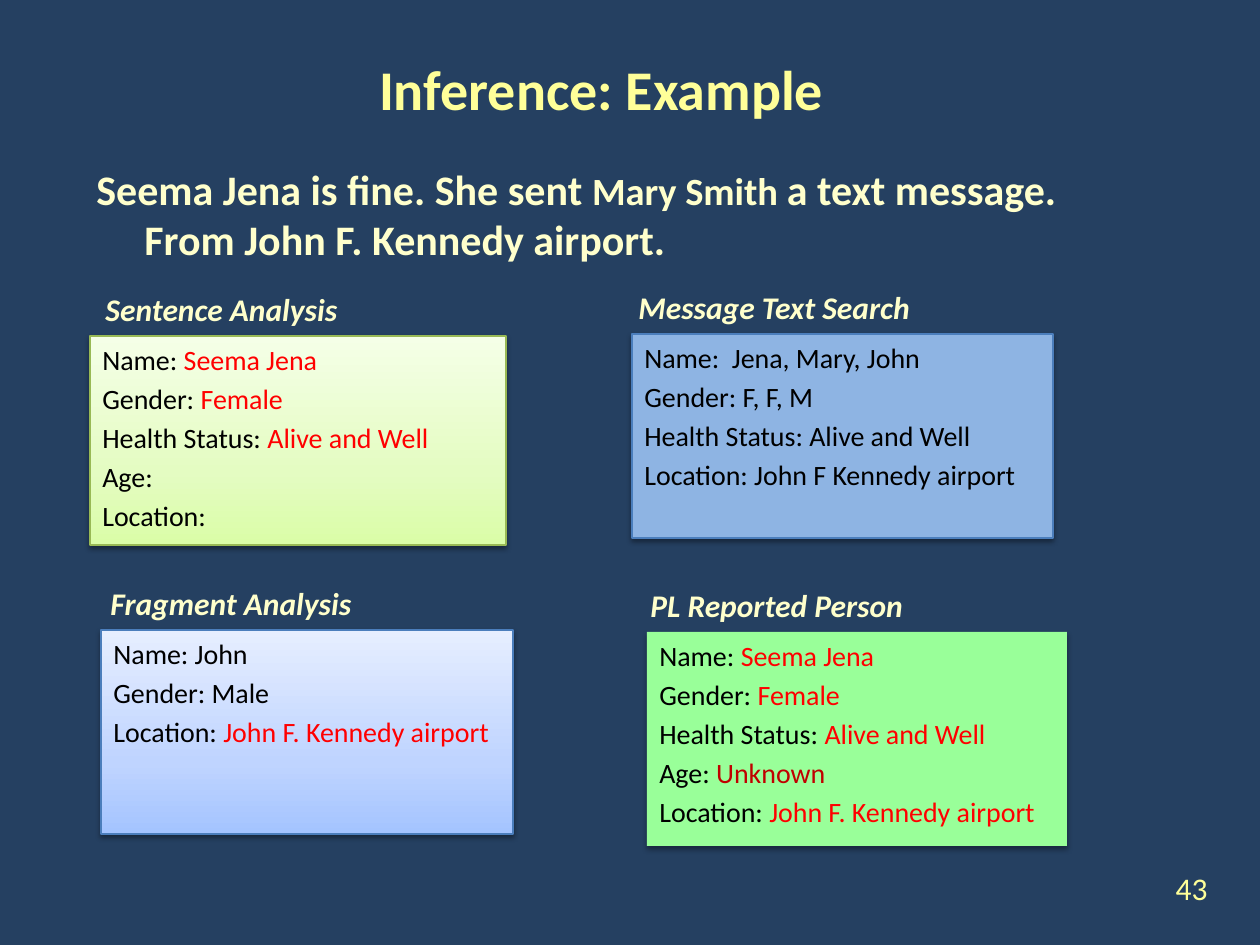
"""Build the inference example slide with four analysis cards."""
from dataclasses import dataclass
from typing import Optional

from lxml import etree
from pptx import Presentation
from pptx import util as u
from pptx.dml.color import RGBColor
from pptx.enum import shapes, text
from pptx.oxml.ns import qn

PIXEL = u.Inches(1) // 126


@dataclass(frozen=True)
class Theme:
    font: str = "Calibri"
    background: str = "254061"
    title: str = "FFFF99"
    body: str = "FFFFCC"
    label: str = "000000"
    found: str = "FF0000"
    unknown: str = "C00000"
    blue_edge: str = "4B7EBC"
    green_edge: str = "98B955"
    title_size: int = 32
    body_size: int = 24
    name_size: int = 22
    heading_size: int = 18
    card_size: int = 16


THEME = Theme()


@dataclass(frozen=True)
class Box:
    left: int
    top: int
    width: int
    height: int

    def emu(self) -> tuple:
        return tuple(side * PIXEL for side in (self.left, self.top, self.width, self.height))


@dataclass(frozen=True)
class Span:
    text: str
    color: str = THEME.label
    size: int = THEME.card_size
    bold: bool = False
    italic: bool = False


@dataclass(frozen=True)
class Card:
    heading: str
    heading_box: Box
    box: Box
    fills: tuple
    edge: Optional[str]
    lines: tuple
    shadow_opacity: int = 38


def field(label: str, value: str = "", color: str = THEME.found) -> tuple:
    """Return a label span followed by its highlighted value."""
    return (Span(label), Span(value, color)) if value else (Span(label),)


def write_lines(frame, lines: tuple, align=text.PP_ALIGN.LEFT, hanging: bool = False) -> None:
    """Write one paragraph per line of spans."""
    frame.word_wrap = True
    frame.vertical_anchor = text.MSO_ANCHOR.TOP
    for index, spans in enumerate(lines):
        paragraph = frame.add_paragraph() if index else frame.paragraphs[0]
        paragraph.alignment = align
        if hanging:
            paragraph.space_before = u.Pt(spans[0].size * 0.2)
            properties = paragraph._p.get_or_add_pPr()
            properties.set("marL", str(48 * PIXEL))
            properties.set("indent", str(-48 * PIXEL))
        for span in spans:
            run = paragraph.add_run()
            run.text = span.text
            run.font.name = THEME.font
            run.font.size = u.Pt(span.size)
            run.font.bold = span.bold
            run.font.italic = span.italic
            run.font.color.rgb = RGBColor.from_string(span.color)


def add_text(slide, box: Box, spans: tuple, align=text.PP_ALIGN.LEFT, hanging: bool = False):
    """Add a text box with one paragraph and return its frame."""
    frame = slide.shapes.add_textbox(*box.emu()).text_frame
    write_lines(frame, (spans,), align, hanging)
    return frame


def add_color(parent, color: str):
    """Append an RGB colour element."""
    return etree.SubElement(parent, qn("a:srgbClr"), val=color)


def paint(shape, fills: tuple) -> None:
    """Fill a shape with one colour or an upward gradient."""
    if len(fills) == 1:
        shape.fill.solid()
        shape.fill.fore_color.rgb = RGBColor.from_string(fills[0])
        return
    shape.fill.gradient()
    shape.fill.gradient_angle = 90
    stops = shape._element.spPr.find(".//" + qn("a:gsLst"))
    for stop in list(stops):
        stops.remove(stop)
    for position, color in zip((0, 35, 100), fills):
        add_color(etree.SubElement(stops, qn("a:gs"), pos=str(position * 1000)), color)


def add_shadow(shape, opacity: int) -> None:
    """Give a shape a soft shadow below it."""
    shape.shadow.inherit = False
    effects = shape._element.spPr.find(qn("a:effectLst"))
    shadow = etree.SubElement(
        effects, qn("a:outerShdw"), blurRad=str(u.Pt(3.1)), dist=str(u.Pt(1.6)),
        dir="5400000", rotWithShape="0")
    etree.SubElement(add_color(shadow, THEME.label), qn("a:alpha"), val=str(opacity * 1000))


def add_card(slide, card: Card) -> None:
    """Draw a card and its heading."""
    shape = slide.shapes.add_shape(shapes.MSO_SHAPE.RECTANGLE, *card.box.emu())
    paint(shape, card.fills)
    if card.edge:
        shape.line.color.rgb = RGBColor.from_string(card.edge)
        shape.line.width = u.Pt(0.75)
    else:
        shape.line.fill.background()
    add_shadow(shape, card.shadow_opacity)
    write_lines(shape.text_frame, card.lines, hanging=True)
    heading = Span(card.heading, THEME.body, THEME.heading_size, True, True)
    add_text(slide, card.heading_box, (heading,))


PERSON = (field("Name: ", "Seema Jena"), field("Gender: ", "Female"),
          field("Health Status: ", "Alive and Well"))
AIRPORT = field("Location: ", "John F. Kennedy airport")

CARDS = (
    Card("Sentence Analysis", Box(93, 284, 260, 50), Box(90, 336, 416, 209),
         ("DAFDA7", "E4FCC2", "F5FFE7"), THEME.green_edge,
         PERSON + (field("Age:"), field("Location:"))),
    Card("Fragment Analysis", Box(98, 578, 306, 50), Box(101, 630, 412, 204),
         ("A4C4FF", "BFD4FF", "E6EEFF"), THEME.blue_edge,
         (field("Name: John"), field("Gender: Male"), AIRPORT)),
    Card("Message Text Search", Box(626, 282, 300, 50), Box(632, 334, 421, 204),
         ("8EB4E3",), THEME.blue_edge,
         (field("Name:  Jena, Mary, John"), field("Gender: F, F, M"),
          field("Health Status: Alive and Well"), field("Location: John F Kennedy airport"))),
    Card("PL Reported Person", Box(638, 580, 324, 50), Box(647, 632, 420, 214),
         ("99FF99",), None,
         PERSON + (field("Age: ", "Unknown", THEME.unknown), AIRPORT), 35),
)


def main() -> None:
    """Build and save the slide."""
    presentation = Presentation()
    presentation.slide_width, presentation.slide_height = u.Inches(10), u.Inches(7.5)
    slide = presentation.slides.add_slide(presentation.slide_layouts[6])
    slide.background.fill.solid()
    slide.background.fill.fore_color.rgb = RGBColor.from_string(THEME.background)

    title = Span("Inference: Example", THEME.title, THEME.title_size, True)
    frame = add_text(slide, Box(108, 49, 987, 78), (title,), text.PP_ALIGN.CENTER)
    frame.vertical_anchor = text.MSO_ANCHOR.MIDDLE
    message = (
        Span("Seema Jena is fine. She sent ", THEME.body, THEME.body_size, True),
        Span("Mary Smith ", THEME.body, THEME.name_size, True),
        Span("a text message. From John F. Kennedy airport.", THEME.body, THEME.body_size, True))
    add_text(slide, Box(84, 157, 1083, 670), message, hanging=True)
    number = Span("43", THEME.title, THEME.heading_size)
    add_text(slide, Box(1148, 863, 72, 53), (number,), text.PP_ALIGN.RIGHT)
    for card in CARDS:
        add_card(slide, card)
    presentation.save("out.pptx")


main()
